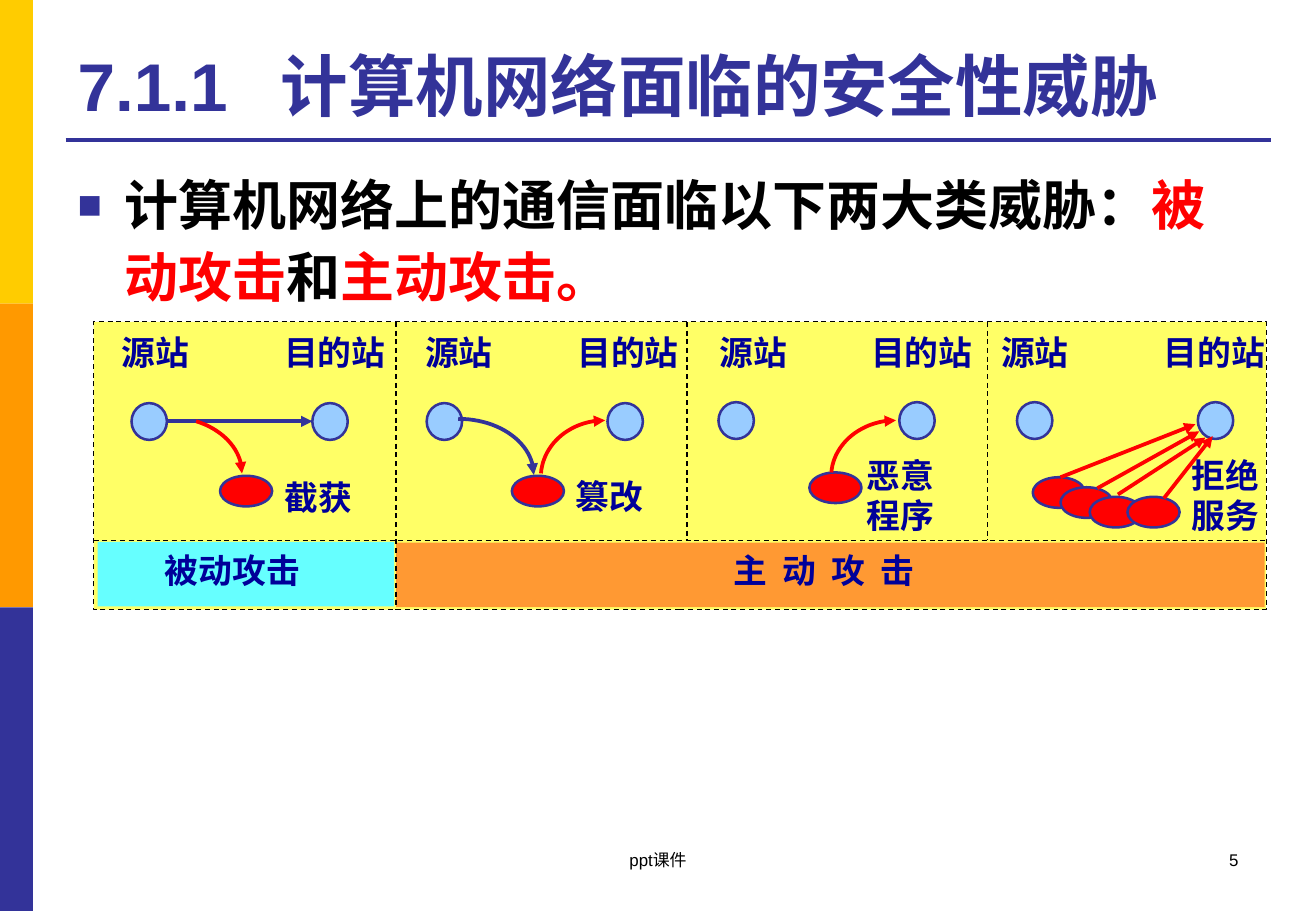
from lxml.etree import SubElement
from pptx import Presentation
from pptx.dml.color import RGBColor
from pptx.enum.dml import MSO_LINE_DASH_STYLE as Dash
from pptx.enum.lang import MSO_LANGUAGE_ID as Language
from pptx.enum.shapes import MSO_CONNECTOR as Connector, MSO_SHAPE as Shape
from pptx.enum.text import MSO_ANCHOR as Anchor, MSO_AUTO_SIZE as AutoSize, PP_ALIGN as Align
from pptx.oxml.ns import qn
from pptx.util import Cm, Pt

COLORS = {
    "yellow": "FFCC00", "amber": "FF9900", "indigo": "333399", "black": "000000",
    "red": "FF0000", "panel": "FFFF66", "orange": "FF9933", "cyan": "66FFFF",
    "station": "99CCFF", "label": "000099",
}
FRAME = {"word_wrap": True, "auto_size": AutoSize.NONE, "vertical_anchor": Anchor.TOP}
STATION_SIZE = (0.74, 0.77)
STATION_GAP = 3.78
ATTACKER_SIZE = (1.09, 0.64)
PANELS = [
    {"station": (0.79, 1.7), "source": 0.33, "target": 3.73,
     "attackers": [(1.85, 1.52)], "label": ["截获"], "label_at": (2.95, 1.42),
     "flows": [("indigo", [(0.74, 0.38), (3.78, 0.38)]),
               ("red", [(1.35, 0.38), (1.93, 0.56), (2.31, 0.99), (2.31, 1.47)])]},
    {"station": (6.96, 1.7), "source": 6.68, "target": 9.86,
     "attackers": [(1.78, 1.52)], "label": ["篡改"], "label_at": (2.87, 1.4),
     "flows": [("indigo", [(0.66, 0.33), (1.55, 0.33), (2.24, 0.86), (2.24, 1.5)]),
               ("red", [(2.39, 1.47), (2.44, 0.84), (3.02, 0.36), (3.73, 0.36)])]},
    {"station": (13.06, 1.68), "source": 12.83, "target": 16.0,
     "attackers": [(1.9, 1.47)], "label": ["恶意", "程序"], "label_at": (2.84, 0.97),
     "flows": [("red", [(2.36, 1.47), (2.41, 0.86), (3.0, 0.38), (3.71, 0.38)])]},
    {"station": (19.3, 1.68), "source": 18.72, "target": 22.12,
     "attackers": [(0.33, 1.57), (0.91, 1.78), (1.52, 1.98), (2.31, 1.98)],
     "label": ["拒绝", "服务"], "label_at": (3.4, 0.97),
     "flows": [("red", [(0.91, 1.57), (3.73, 0.46)]),
               ("red", [(1.68, 1.8), (3.81, 0.61)]),
               ("red", [(2.11, 1.93), (3.94, 0.74)]),
               ("red", [(3.07, 2.01), (4.09, 0.71)])]},
]


def rgb(name):
    """Return the named colour."""
    return RGBColor.from_string(COLORS[name])


def apply_format(target, values):
    """Set each attribute of the target from the dict."""
    for name, value in values.items():
        setattr(target, name, value)


def place(shape, box):
    """Move a shape to a box given in centimetres."""
    apply_format(shape, dict(zip(("left", "top", "width", "height"), map(Cm, box))))


def add_run(paragraph, text, size, color, bold=True):
    """Add a formatted run and return it."""
    run = paragraph.add_run()
    run.text = text
    apply_format(run.font, {"name": "Arial", "size": Pt(size), "bold": bold,
                            "language_id": Language.SIMPLIFIED_CHINESE})
    run.font.color.rgb = rgb(color)
    return run


def style_line(shape, color, width, dashed=False, arrow=False):
    """Format an outline, with an optional dash and arrowhead."""
    shape.line.color.rgb = rgb(color)
    shape.line.width = Pt(width)
    if dashed:
        shape.line.dash_style = Dash.DASH
    if arrow:
        SubElement(shape._element.spPr.find(qn("a:ln")), qn("a:tailEnd"), type="triangle")


def add_block(slide, kind, box, fill, line=None):
    """Add a filled preset shape."""
    shape = slide.shapes.add_shape(kind, *map(Cm, box))
    shape.shadow.inherit = False
    shape.fill.solid()
    shape.fill.fore_color.rgb = rgb(fill)
    if line:
        style_line(shape, *line)
    else:
        shape.line.fill.background()


def add_line(slide, start, end, color, width, **style):
    """Add a straight line."""
    line = slide.shapes.add_connector(Connector.STRAIGHT, *map(Cm, (*start, *end)))
    style_line(line, color, width, **style)
    SubElement(line._element.spPr, qn("a:effectLst"))


def add_curve(slide, points, color):
    """Add a cubic curve that ends in an arrowhead."""
    steps = 24
    weights = [((1 - t) ** 3, 3 * t * (1 - t) ** 2, 3 * t * t * (1 - t), t ** 3)
               for t in (step / steps for step in range(steps + 1))]
    track = [tuple(Cm(sum(w * v for w, v in zip(weight, axis))) for axis in zip(*points))
             for weight in weights]
    builder = slide.shapes.build_freeform(*track[0])
    builder.add_line_segments(track[1:], close=False)
    curve = builder.convert_to_shape()
    curve.shadow.inherit = False
    curve.fill.background()
    style_line(curve, color, 2.25, arrow=True)


def add_text(slide, lines, box, size=20, color="label", bold=True, align=Align.LEFT, wrap=False):
    """Add a text box and return its last run."""
    frame = slide.shapes.add_textbox(*map(Cm, box)).text_frame
    apply_format(frame, FRAME | {"word_wrap": wrap})
    for index, line in enumerate(lines):
        paragraph = frame.add_paragraph() if index else frame.paragraphs[0]
        paragraph.alignment = align
        run = add_run(paragraph, line, size, color, bold)
    return run


def add_background(slide, height):
    """Draw the side stripes and the rule under the title."""
    stripe = height / 3
    for index, color in enumerate(("yellow", "amber", "indigo")):
        add_block(slide, Shape.RECTANGLE, (0, index * stripe, 0.69, stripe), color)
    add_line(slide, (1.37, 2.92), (26.57, 2.92), "indigo", 2.25)


def fill_title(title, box):
    """Place the title with its number set off by a tab."""
    place(title, box)
    apply_format(title.text_frame, FRAME | {"vertical_anchor": Anchor.BOTTOM})
    paragraph = title.text_frame.paragraphs[0]
    paragraph.alignment = Align.LEFT
    tabs = SubElement(paragraph._p.get_or_add_pPr(), qn("a:tabLst"))
    SubElement(tabs, qn("a:tab"), pos=str(Cm(4.25)), algn="l")
    add_run(paragraph, "7.1.1\t计算机网络面临的安全性威胁", 40, "indigo")


def fill_body(body, box):
    """Place the bulleted statement."""
    place(body, box)
    apply_format(body.text_frame, FRAME)
    paragraph = body.text_frame.paragraphs[0]
    properties = paragraph._p.get_or_add_pPr()
    apply_format(paragraph, {"line_spacing": 1.1, "space_before": Pt(0)})
    properties.set("marL", str(Cm(0.97)))
    properties.set("indent", str(Cm(-0.97)))
    SubElement(SubElement(properties, qn("a:buClr")), qn("a:srgbClr"), val=COLORS["indigo"])
    SubElement(properties, qn("a:buSzPct"), val="75000")
    SubElement(properties, qn("a:buFont"), typeface="Arial")
    SubElement(properties, qn("a:buChar"), char="■")
    for text, color in (("计算机网络上的通信面临以下两大类威胁：", "black"), ("被动攻击", "red"),
                        ("和", "black"), ("主动攻击。", "red")):
        add_run(paragraph, text, 32, color)


def add_panel(slide, left, top, panel):
    """Draw one attack with its stations, attackers, flows and labels."""
    x, y = left + panel["station"][0], top + panel["station"][1]
    add_text(slide, ["源站"], (left + panel["source"], top + 0.08, 1.96, 1.12))
    add_text(slide, ["目的站"], (left + panel["target"], top + 0.08, 2.67, 1.12))
    for offset in (0, STATION_GAP):
        add_block(slide, Shape.OVAL, (x + offset, y, *STATION_SIZE), "station", ("indigo", 1.5))
    for dx, dy in panel["attackers"]:
        add_block(slide, Shape.OVAL, (x + dx, y + dy, *ATTACKER_SIZE), "red", ("indigo", 1.5))
    for color, offsets in panel["flows"]:
        points = [(x + dx, y + dy) for dx, dy in offsets]
        if len(points) == 2:
            add_line(slide, *points, color, 2.25, arrow=True)
        else:
            add_curve(slide, points, color)
    dx, dy = panel["label_at"]
    add_text(slide, panel["label"], (x + dx, y + dy, 1.96, 0.28 + 0.84 * len(panel["label"])))


def add_diagram(slide, box):
    """Draw the four attacks and the two classes below them."""
    left, top, width, height = box
    split = top + 4.57
    add_block(slide, Shape.RECTANGLE, box, "panel", ("black", 0.75, True))
    add_block(slide, Shape.RECTANGLE, (left + 0.08, split + 0.03, 6.2, 1.35), "cyan")
    add_block(slide, Shape.RECTANGLE, (left + 6.32, split + 0.05, 18.16, 1.35), "orange")
    for x, bottom in ((6.32, top + height), (12.4, split), (18.69, split)):
        add_line(slide, (left + x, top), (left + x, bottom), "black", 0.75, dashed=True)
    add_line(slide, (left, split), (left + width, split), "black", 0.75, dashed=True)
    for panel in PANELS:
        add_panel(slide, left, top, panel)
    add_text(slide, ["被动攻击"], (left + 1.24, split + 0.08, 3.38, 1.12))
    active = add_text(slide, ["主动攻击"], (left + 13.13, split + 0.08, 4.55, 1.12))
    active.font._element.set("spc", "900")


def add_footer(slide, top):
    """Add the footer text and the slide number."""
    for text, left, width, align in (("ppt课件", 9.4, 8.71, Align.CENTER),
                                     ("5", 19.71, 6.43, Align.RIGHT)):
        add_text(slide, [text], (left, top, width, 1.27), 10, "black", False, align, True)


def main():
    """Build and save the slide."""
    presentation = Presentation()
    apply_format(presentation, {"slide_width": Cm(27.51), "slide_height": Cm(19.05)})
    slide = presentation.slides.add_slide(presentation.slide_layouts[1])
    add_background(slide, 19.05)
    fill_title(slide.shapes.title, (1.37, 0.53, 25.17, 2.21))
    fill_body(slide.placeholders[1], (1.37, 3.33, 25.17, 13.72))
    add_diagram(slide, (1.96, 6.73, 24.51, 6.02))
    add_footer(slide, 17.65)
    presentation.save("out.pptx")


if __name__ == "__main__":
    main()
